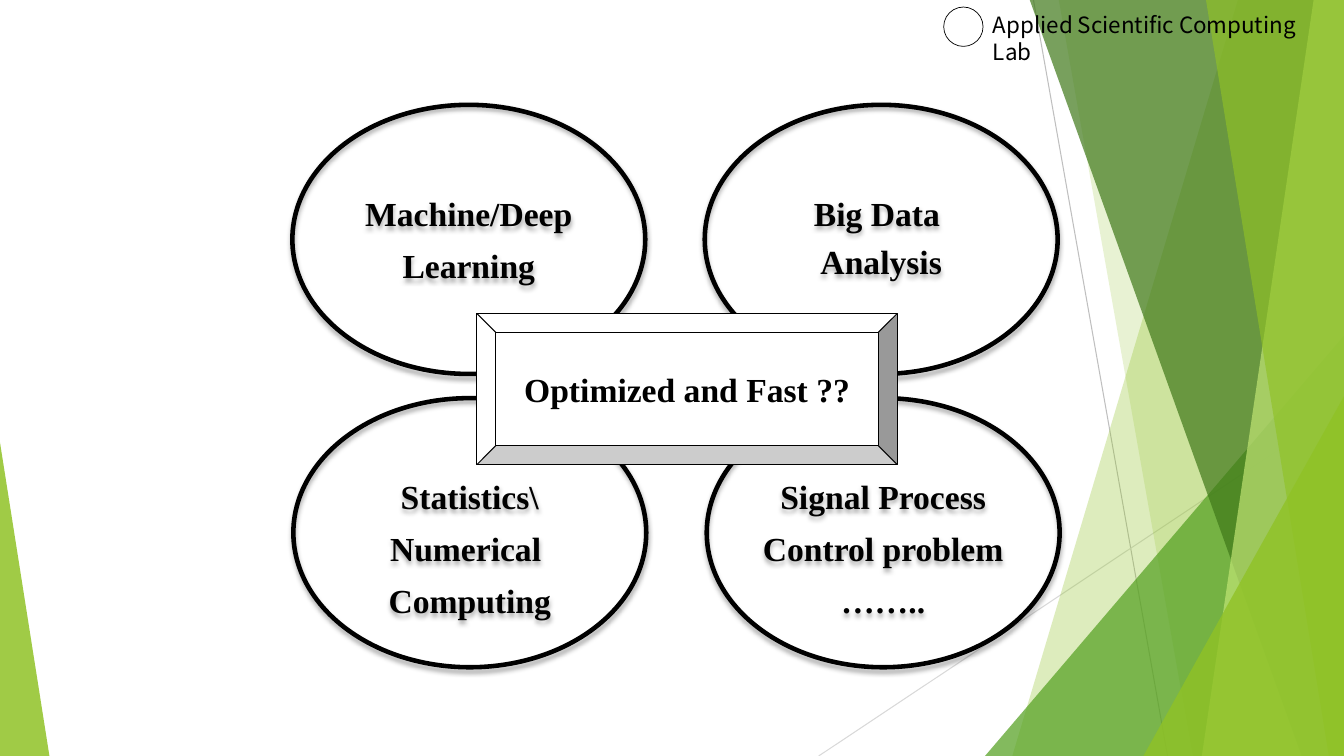
from lxml.etree import SubElement
from pptx import Presentation
from pptx.dml.color import RGBColor
from pptx.enum.dml import MSO_LINE
from pptx.enum.shapes import MSO_CONNECTOR as Connector, MSO_SHAPE as Shape
from pptx.enum.text import MSO_ANCHOR as Anchor, MSO_AUTO_SIZE as AutoSize, PP_ALIGN as Align
from pptx.oxml.ns import qn
from pptx.util import Inches, Pt

COLORS = {
    "black": "000000", "white": "FFFFFF", "gray": "BFBFBF", "pale gray": "D9D9D9",
    "lime": "90C226", "green": "54A021", "forest": "3F7819", "light lime": "C0E474",
}
WIDTH, HEIGHT = 13.33, 7.5
SERIF = "Times New Roman"


def color(name):
    return RGBColor.from_string(COLORS[name])


def add_alpha(color_element, percent):
    SubElement(color_element, qn("a:alpha"), val=str(percent * 1000))


def fill_translucent(shape, name, percent):
    shape.shadow.inherit = False
    shape.line.fill.background()
    shape.fill.solid()
    shape.fill.fore_color.rgb = color(name)
    add_alpha(shape.fill._xPr.find(".//" + qn("a:srgbClr")), percent)


def add_ray(slide, start, end, name):
    ray = slide.shapes.add_connector(
        Connector.STRAIGHT, *[Inches(value) for value in (*start, *end)])
    ray.line.color.rgb = color(name)
    ray.line.width = Pt(0.75)
    SubElement(ray._element.spPr, qn("a:effectLst"))


def add_facet(slide, top_x, bottom_x, name, percent):
    corners = [(top_x, -0.01), (WIDTH, -0.01), (WIDTH, HEIGHT), (bottom_x, HEIGHT)]
    points = [(Inches(x), Inches(y)) for x, y in corners]
    builder = slide.shapes.build_freeform(*points[0])
    builder.add_line_segments(points[1:], close=True)
    fill_translucent(builder.convert_to_shape(), name, percent)


def add_preset(slide, kind, left, top, width, height):
    shape = slide.shapes.add_shape(
        kind, Inches(left), Inches(top), Inches(width), Inches(height))
    shape.shadow.inherit = False
    return shape


def add_corner(slide, left, top, width, apex, name, percent):
    corner = add_preset(slide, Shape.ISOSCELES_TRIANGLE, left, top, width, HEIGHT - top)
    corner.adjustments[0] = apex
    fill_translucent(corner, name, percent)


def add_outline(shape, width):
    shape.line.color.rgb = color("black")
    shape.line.width = Pt(width)


def write_label(shape, text, line_spacing=None):
    frame = shape.text_frame
    frame.text = text
    frame.word_wrap = False
    frame.vertical_anchor = Anchor.MIDDLE
    for index, paragraph in enumerate(frame.paragraphs):
        paragraph.alignment = Align.CENTER
        paragraph.space_before = Pt(8.4 if index else 0)
        if line_spacing:
            paragraph.line_spacing = line_spacing
        for run in paragraph.runs:
            run.font.name = SERIF
            run.font.size = Pt(24)
            run.font.bold = True
            run.font.color.rgb = color("black")


def add_topic(slide, left, top, text, line_spacing=None, top_inset=0.05):
    topic = add_preset(slide, Shape.OVAL, left, top, 3.5, 2.67)
    topic.fill.background()
    add_outline(topic, 3.25)
    effects = topic._element.spPr.find(qn("a:effectLst"))
    shadow = SubElement(
        effects, qn("a:outerShdw"), blurRad=str(Pt(3.5)), dist=str(Pt(2.2)),
        dir="5400000", algn="t", rotWithShape="0")
    add_alpha(SubElement(shadow, qn("a:srgbClr"), val=COLORS["black"]), 32)
    write_label(topic, text, line_spacing)
    topic.text_frame.margin_top = Inches(top_inset)


def add_plaque(slide, text):
    plaque = add_preset(slide, Shape.BEVEL, 4.73, 3.11, 4.17, 1.5)
    plaque.adjustments[0] = 0.125
    plaque.fill.solid()
    plaque.fill.fore_color.rgb = color("white")
    add_outline(plaque, 0.75)
    write_label(plaque, text)


def add_lab_name(slide, text):
    emblem = add_preset(slide, Shape.OVAL, 9.36, 0.07, 0.39, 0.39)
    emblem.fill.background()
    add_outline(emblem, 0.5)
    emblem.line.dash_style = MSO_LINE.SOLID
    box = slide.shapes.add_textbox(Inches(9.75), Inches(0.06), Inches(3.58), Inches(0.37))
    frame = box.text_frame
    frame.text = text
    frame.word_wrap = True
    frame.auto_size = AutoSize.SHAPE_TO_FIT_TEXT
    font = frame.paragraphs[0].runs[0].font
    font.name = "Noto Sans CJK KR"
    font.size = Pt(16)
    font.color.rgb = color("black")


def add_backdrop(slide):
    add_ray(slide, (10.25, 0), (11.58, HEIGHT), "gray")
    add_ray(slide, (WIDTH, 4.03), (8.12, HEIGHT), "pale gray")
    add_facet(slide, 12.28, 10.04, "lime", 30)
    add_facet(slide, 10.5, 11.83, "lime", 20)
    add_corner(slide, 9.77, 3.33, 3.56, 1, "green", 72)
    add_facet(slide, 10.21, 12.91, "forest", 70)
    add_facet(slide, 13.03, 11.92, "light lime", 70)
    add_facet(slide, 11.96, 13.18, "lime", 65)
    add_corner(slide, 11.34, 3.93, 1.99, 1, "lime", 80)
    add_corner(slide, 0, 4.39, 0.49, 0, "lime", 85)


def main():
    presentation = Presentation()
    presentation.slide_width = Inches(WIDTH)
    presentation.slide_height = Inches(HEIGHT)
    slide = presentation.slides.add_slide(presentation.slide_layouts[6])
    add_backdrop(slide)
    add_topic(slide, 7.01, 3.95, "Signal Process\nControl problem\n……..", top_inset=0.35)
    add_topic(slide, 2.91, 3.95, "Statistics\\\nNumerical \nComputing", top_inset=0.35)
    add_topic(slide, 6.99, 1.04, "Big Data \nAnalysis", line_spacing=0.9)
    add_topic(slide, 2.9, 1.04, "Machine/Deep\nLearning")
    add_plaque(slide, "Optimized and Fast ??")
    add_lab_name(slide, "Applied Scientific Computing Lab")
    presentation.save("out.pptx")


if __name__ == "__main__":
    main()
